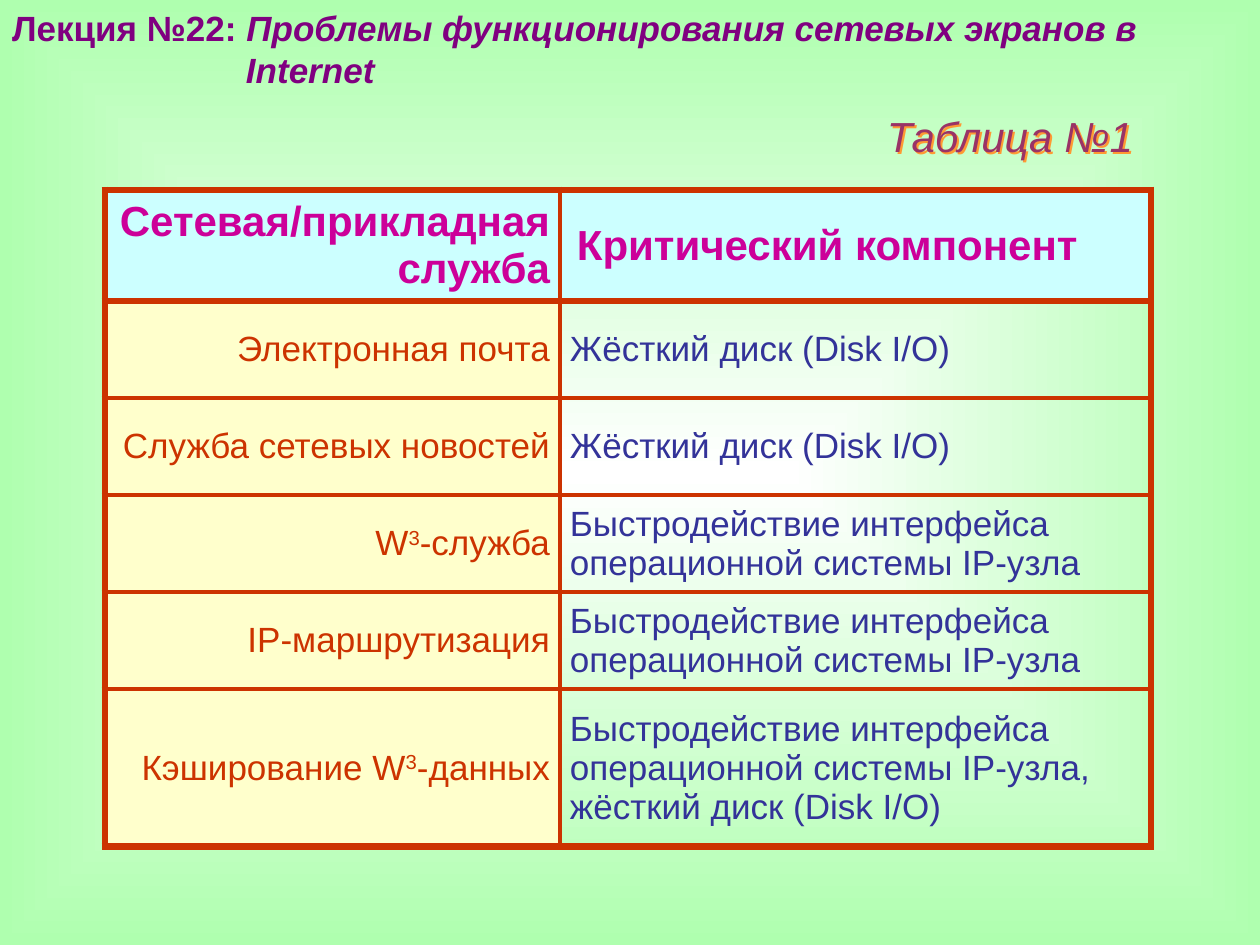
"""Builds the lecture slide on critical components of network services."""
import lxml.etree
import pptx
import pptx.dml.color
import pptx.enum.text
import pptx.oxml
import pptx.oxml.ns
import pptx.util

PX = 914400 / 126
FONT = "Arial"
ALIGN = pptx.enum.text.PP_ALIGN
ANCHOR = pptx.enum.text.MSO_ANCHOR
NS = pptx.oxml.ns.nsdecls("a")

PURPLE, MAGENTA, RED, BLUE = "800080", "CC0099", "CC3300", "333399"
HEAD_FILL, SERVICE_FILL = "CCFFFF", "FFFFCC"
THICK, THIN = 4.5, 3

TITLE = [
    [("Лекция №22: ", False), ("Проблемы функционирования сетевых экранов в", True)],
    [("Internet", True)],
]
CAPTION = "Таблица №1"
HEADER = (["Сетевая/прикладная", "служба"], ["Критический компонент"])
DISK = "Жёсткий диск (Disk I/O)"
SPEED = "Быстродействие интерфейса операционной системы IP-узла"
SERVICES = [
    (["Электронная почта"], [DISK]),
    (["Служба сетевых новостей"], [DISK]),
    (["W^3^-служба"], [SPEED]),
    (["IP-маршрутизация"], [SPEED]),
    (["Кэширование W^3^-данных"], [SPEED + ",", "жёсткий диск (Disk I/O)"]),
]
COL_WIDTHS = (455, 591)
ROW_HEIGHTS = (111, 97, 97, 97, 97, 158)


def px(n):
    return pptx.util.Emu(round(n * PX))


def rgb(value):
    return pptx.dml.color.RGBColor.from_string(value)


def add_run(p, text, size, color, bold=False, italic=False):
    r = p.add_run()
    r.text = text
    r.font.name = FONT
    r.font.size = pptx.util.Pt(size)
    r.font.bold = bold
    r.font.italic = italic
    r.font.color.rgb = rgb(color)
    return r


def paragraphs(tf, count):
    return [tf.paragraphs[0]] + [tf.add_paragraph() for _ in range(count - 1)]


def set_margins(box, left, top, right, bottom):
    box.margin_left, box.margin_top = px(left), px(top)
    box.margin_right, box.margin_bottom = px(right), px(bottom)


def place(sp, left, top, width, height):
    sp.left, sp.top, sp.width, sp.height = px(left), px(top), px(width), px(height)


def set_background(s):
    fill = s.background.fill
    fill.gradient()
    for stop, color in zip(fill.gradient_stops, ("FFFFFF", "AFFFAF")):
        stop.color.rgb = rgb(color)
    grad = s.background._cSld.find(".//" + pptx.oxml.ns.qn("a:gradFill"))
    grad.replace(grad.find(pptx.oxml.ns.qn("a:lin")), pptx.oxml.parse_xml(
        f'<a:path {NS} path="shape">'
        '<a:fillToRect l="50000" t="50000" r="50000" b="50000"/></a:path>'))


def add_title(s):
    sp = s.shapes.title
    place(sp, 0, 0, 1260, 97)
    tf = sp.text_frame
    tf.word_wrap = True
    tf.auto_size = pptx.enum.text.MSO_AUTO_SIZE.NONE
    tf.vertical_anchor = ANCHOR.TOP
    set_margins(tf, 12, 6, 12, 6)
    lines = paragraphs(tf, len(TITLE))
    for p, runs in zip(lines, TITLE):
        p.alignment = ALIGN.LEFT
        for text, italic in runs:
            add_run(p, text, 20, PURPLE, True, italic)
    lines[1]._p.get_or_add_pPr().set("marL", str(px(234)))


def add_caption(s):
    sp = s.shapes.add_textbox(px(873), px(111), px(272), px(50))
    tf = sp.text_frame
    tf.word_wrap = True
    tf.vertical_anchor = ANCHOR.MIDDLE
    set_margins(tf, 0, 0, 12, 0)
    p = tf.paragraphs[0]
    p.alignment = ALIGN.RIGHT
    add_run(p, CAPTION, 24, "993366", italic=True)
    sp._element.spPr.append(pptx.oxml.parse_xml(
        f'<a:effectLst {NS}><a:outerShdw dist="20000" dir="2700000" algn="ctr">'
        '<a:srgbClr val="FF9933"/></a:outerShdw></a:effectLst>'))


def set_borders(cell, row, col):
    widths = {
        "lnL": THICK if col == 0 else THIN,
        "lnR": THICK if col == len(COL_WIDTHS) - 1 else THIN,
        "lnT": THICK if row <= 1 else THIN,
        "lnB": THICK if row in (0, len(ROW_HEIGHTS) - 1) else THIN,
    }
    tcPr = cell._tc.get_or_add_tcPr()
    for tag, width in widths.items():
        tcPr.append(pptx.oxml.parse_xml(
            f'<a:{tag} {NS} w="{pptx.util.Pt(width)}">'
            f'<a:solidFill><a:srgbClr val="{RED}"/></a:solidFill></a:{tag}>'))


def fill_cell(cell, row, col, lines):
    head, service = row == 0, col == 0
    set_borders(cell, row, col)
    if head or service:
        cell.fill.solid()
        cell.fill.fore_color.rgb = rgb(HEAD_FILL if head else SERVICE_FILL)
    else:
        cell.fill.background()
    cell.vertical_anchor = ANCHOR.MIDDLE
    left = 5 if service else 17 if head else 10
    set_margins(cell, left, 5, 10 if service else 5, 5)
    color = MAGENTA if head else RED if service else BLUE
    for p, line in zip(paragraphs(cell.text_frame, len(lines)), lines):
        p.alignment = ALIGN.RIGHT if service else ALIGN.LEFT
        for i, text in enumerate(line.split("^")):
            r = add_run(p, text, 24 if head else 20, color, head)
            if i % 2:
                r.font._element.set("baseline", "30000")


def add_services_table(s):
    rows = [HEADER] + SERVICES
    table = s.shapes.add_table(
        len(rows), len(COL_WIDTHS), px(105), px(190),
        px(sum(COL_WIDTHS)), px(sum(ROW_HEIGHTS))).table
    table.first_row = table.horz_banding = False
    for column, width in zip(table.columns, COL_WIDTHS):
        column.width = px(width)
    for i, (cells, height) in enumerate(zip(rows, ROW_HEIGHTS)):
        table.rows[i].height = px(height)
        for j, lines in enumerate(cells):
            fill_cell(table.cell(i, j), i, j, lines)


def main():
    prs = pptx.Presentation()
    prs.slide_width, prs.slide_height = px(1260), px(945)
    s = prs.slides.add_slide(prs.slide_layouts[5])
    set_background(s)
    add_title(s)
    add_services_table(s)
    add_caption(s)
    prs.save("out.pptx")


if __name__ == "__main__":
    main()
